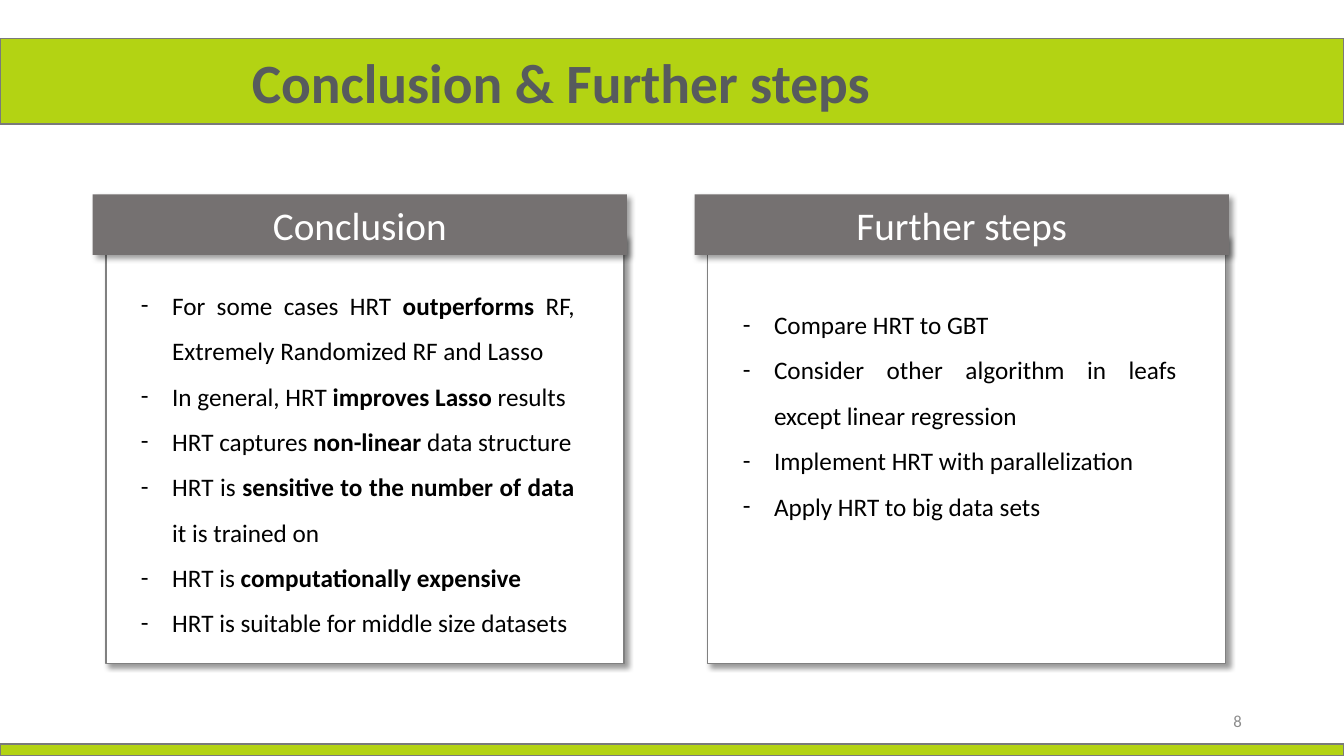
from lxml import etree
from pptx import Presentation
from pptx.dml.color import RGBColor
from pptx.enum.shapes import MSO_SHAPE
from pptx.enum.text import MSO_ANCHOR, MSO_AUTO_SIZE, PP_ALIGN
from pptx.oxml.ns import qn
from pptx.util import Inches, Pt

RECTANGLE = MSO_SHAPE.RECTANGLE
MIDDLE, TOP = MSO_ANCHOR.MIDDLE, MSO_ANCHOR.TOP
GROW = MSO_AUTO_SIZE.SHAPE_TO_FIT_TEXT
LEFT, CENTER = PP_ALIGN.LEFT, PP_ALIGN.CENTER
RIGHT, JUSTIFY = PP_ALIGN.RIGHT, PP_ALIGN.JUSTIFY

WIDTH, HEIGHT = Inches(13.33), Inches(7.5)
FONT = "Calibri"
LIME, BAND_EDGE = "B3D313", "7A7A7A"
GREY, PANEL_EDGE = "757171", "808080"
WHITE, BLACK = "FFFFFF", "000000"
FIRST_COLUMN, COLUMN_PITCH = 6.9, 44.78

COLUMNS = [
    ("Conclusion", 35.73, [
        "For some cases HRT *outperforms* RF, Extremely Randomized RF and Lasso",
        "In general, HRT *improves Lasso *results",
        "HRT captures *non-linear *data structure",
        "HRT is *sensitive to the number of data *it is trained on",
        "HRT is *computationally expensive*",
        "HRT is suitable for middle size datasets",
    ]),
    ("Further steps", 38.27, [
        "Compare HRT to GBT",
        "Consider other algorithm in leafs except linear regression",
        "Implement HRT with parallelization",
        "Apply HRT to big data sets",
    ]),
]


def color(code):
    return RGBColor.from_string(code)


def area(left, top, width, height):
    return [int(share * side / 100) for share, side in
            zip((left, top, width, height), (WIDTH, HEIGHT) * 2)]


def add_rectangle(page, place, fill, edge=None):
    box = page.shapes.add_shape(RECTANGLE, *area(*place))
    box.shadow.inherit = False
    box.fill.solid()
    box.fill.fore_color.rgb = color(fill)
    if edge:
        box.line.color.rgb = color(edge)
        box.line.width = Pt(1)
    else:
        box.line.fill.background()
    return box


def add_shadow(box):
    effects = box._element.spPr.find(qn("a:effectLst"))
    shadow = etree.SubElement(effects, qn("a:outerShdw"), blurRad=str(Pt(4)),
                              dist=str(Pt(3)), dir=str(45 * 60000),
                              algn="tl", rotWithShape="0")
    tint = etree.SubElement(shadow, qn("a:srgbClr"), val=BLACK)
    etree.SubElement(tint, qn("a:alpha"), val="40000")


def style(span, size, ink, bold=False):
    span.font.name = FONT
    span.font.size = Pt(size)
    span.font.bold = bold
    span.font.color.rgb = color(ink)


def write_line(box, text, size, ink, align, bold=False):
    frame = box.text_frame
    frame.word_wrap = True
    frame.vertical_anchor = MIDDLE
    frame.text = text
    para = frame.paragraphs[0]
    para.alignment = align
    style(para.runs[0], size, ink, bold)
    return para


def add_dash(para):
    properties = para._p.get_or_add_pPr()
    properties.set("marL", str(Inches(0.31)))
    properties.set("indent", str(-Inches(0.31)))
    etree.SubElement(properties, qn("a:buFont"), typeface=FONT)
    etree.SubElement(properties, qn("a:buChar"), char="-")


def add_list(page, place, items):
    box = page.shapes.add_textbox(*area(*place))
    frame = box.text_frame
    frame.word_wrap = True
    frame.auto_size = GROW
    frame.vertical_anchor = TOP
    for index, item in enumerate(items):
        para = frame.add_paragraph() if index else frame.paragraphs[0]
        para.alignment = JUSTIFY
        para.line_spacing = 1.5
        add_dash(para)
        for part, text in enumerate(item.split("*")):
            if text:
                span = para.add_run()
                span.text = text
                style(span, 18, BLACK, part % 2 == 1)


def add_column(page, left, heading, list_top, items):
    panel = add_rectangle(page, (left + 0.98, 31.2, 38.55, 56.53), WHITE, PANEL_EDGE)
    add_shadow(panel)
    add_list(page, (left + 2.85, list_top, 33.75, 42.2), items)
    header = add_rectangle(page, (left, 25.73, 39.75, 8), GREY)
    add_shadow(header)
    frame = header.text_frame
    frame.margin_left = frame.margin_right = Inches(0.05)
    write_line(header, heading, 28, WHITE, CENTER)


def main():
    deck = Presentation()
    deck.slide_width, deck.slide_height = WIDTH, HEIGHT
    page = deck.slides.add_slide(deck.slide_layouts[6])

    add_rectangle(page, (0, 5.07, 100, 11.33), LIME, BAND_EDGE)
    title = page.shapes.add_textbox(*area(18, 6.8, 75.08, 8.93))
    para = write_line(title, "Conclusion & Further steps", 39.6, "575B5D", LEFT, True)
    para.line_spacing = 0.9

    add_rectangle(page, (0, 98.4, 100, 1.6), LIME, BAND_EDGE)
    number = page.shapes.add_textbox(*area(70.65, 92.67, 22.5, 5.33))
    write_line(number, "8", 12, "8C8C8C", RIGHT)

    for index, (heading, list_top, items) in enumerate(COLUMNS):
        add_column(page, FIRST_COLUMN + index * COLUMN_PITCH, heading, list_top, items)

    deck.save("out.pptx")


if __name__ == "__main__":
    main()
